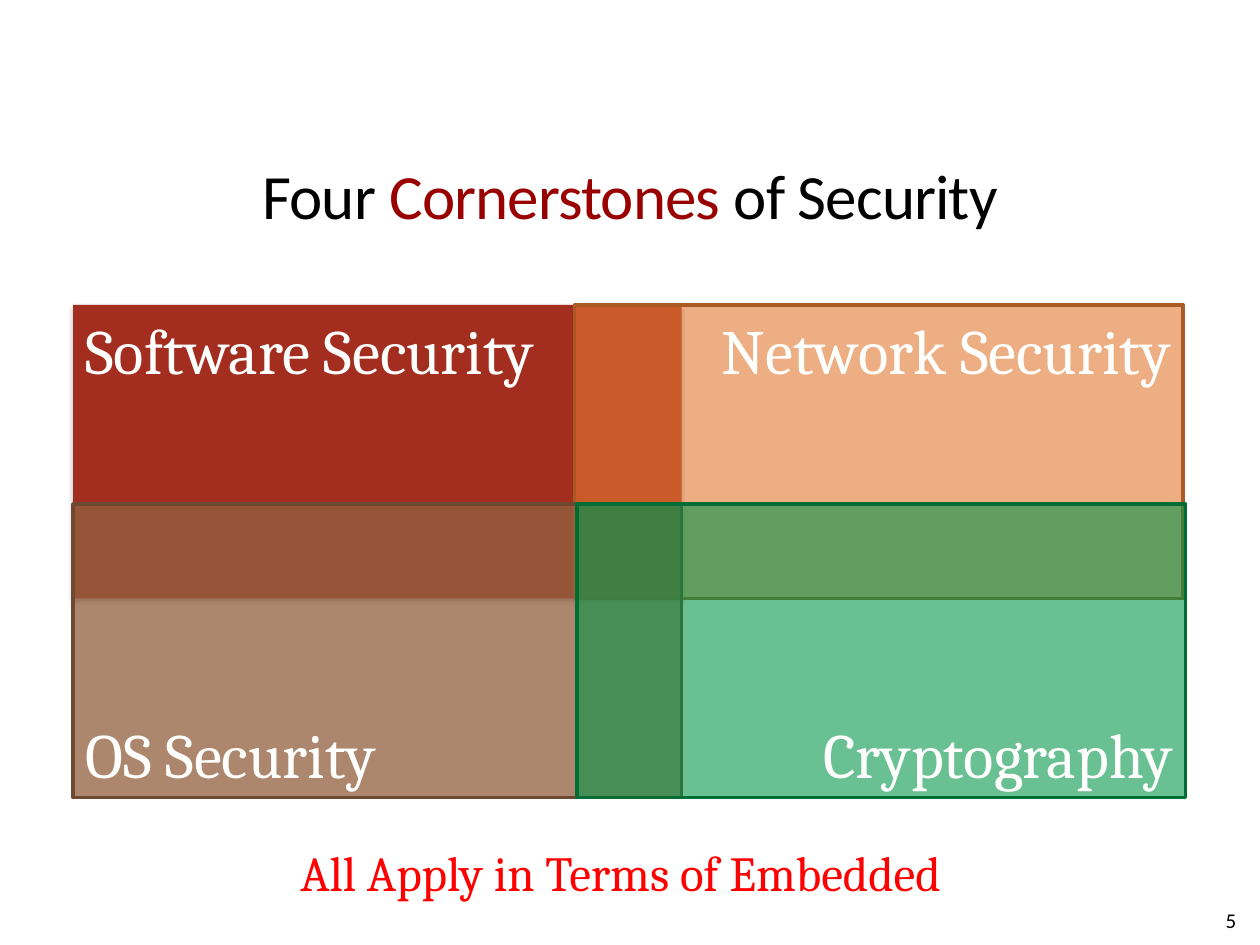
from dataclasses import dataclass
from typing import Any, Optional

from lxml.etree import SubElement
from pptx import Presentation
from pptx.dml.color import RGBColor
from pptx.enum.shapes import MSO_SHAPE
from pptx.enum.text import MSO_ANCHOR, PP_ALIGN
from pptx.oxml.ns import qn
from pptx.util import Inches, Pt


@dataclass(frozen=True)
class Theme:
    black: str = "000000"
    accent: str = "990000"
    light: str = "FFFFFE"
    alert: str = "FF0000"
    head: str = "Calibri"
    body: str = "Cambria"
    big: int = 36
    mid: int = 28
    small: int = 12


@dataclass(frozen=True)
class Stone:
    label: str
    left: float
    top: float
    fill: str
    alpha: int = 100
    line: Optional[str] = None
    align: PP_ALIGN = PP_ALIGN.LEFT
    anchor: MSO_ANCHOR = MSO_ANCHOR.TOP


THEME = Theme()
WIDTH, HEIGHT = 4.83, 2.33
LEFT, TOP, LOW = 0.58, 2.42, 4
STONES = [
    Stone("Software Security", LEFT, TOP, "A32D1F"),
    Stone("Network Security", 4.56, TOP, "E47932", 60, "A95A25", PP_ALIGN.RIGHT),
    Stone("OS Security", LEFT, LOW, "936241", 76, "6D4930",
          anchor=MSO_ANCHOR.BOTTOM),
    Stone("Cryptography", 4.58, LOW, "009446", 59, "006D34", PP_ALIGN.RIGHT,
          MSO_ANCHOR.BOTTOM),
]


def apply(item: Any, values: dict[str, Any]) -> None:
    for name, value in values.items():
        setattr(item, name, value)


def place(shape: Any, left: float, top: float, width: float, height: float) -> None:
    apply(shape, {"left": Inches(left), "top": Inches(top),
                  "width": Inches(width), "height": Inches(height)})


def write(shape: Any, parts: list[tuple[str, str]], font: str, size: int,
          align: PP_ALIGN, anchor: MSO_ANCHOR) -> None:
    frame = shape.text_frame
    apply(frame, {"word_wrap": True, "vertical_anchor": anchor})
    para = frame.paragraphs[0]
    para.alignment = align
    for text, color in parts:
        run = para.add_run()
        run.text = text
        apply(run.font, {"name": font, "size": Pt(size), "bold": False})
        run.font.color.rgb = RGBColor.from_string(color)


def fade(color: Any, alpha: int) -> None:
    SubElement(color, qn("a:alpha"), val=str(alpha * 1000))


def shade(shape: Any) -> None:
    effects = shape._element.spPr.find(qn("a:effectLst"))
    shadow = SubElement(effects, qn("a:outerShdw"), blurRad=str(Pt(3.1)),
                        dist=str(Pt(1.8)), dir="5400000", rotWithShape="0")
    fade(SubElement(shadow, qn("a:srgbClr"), val=THEME.black), 35)


def draw(group: Any, stone: Stone) -> None:
    shape = group.shapes.add_shape(
        MSO_SHAPE.RECTANGLE, Inches(stone.left), Inches(stone.top),
        Inches(WIDTH), Inches(HEIGHT))
    shape.shadow.inherit = False
    shape.fill.solid()
    shape.fill.fore_color.rgb = RGBColor.from_string(stone.fill)
    if stone.line:
        fade(shape._element.spPr.find(qn("a:solidFill"))[0], stone.alpha)
        shape.line.color.rgb = RGBColor.from_string(stone.line)
        shape.line.width = Pt(2)
    else:
        shape.line.fill.background()
        shade(shape)
    write(shape, [(stone.label, THEME.light)], THEME.body, THEME.big,
          stone.align, stone.anchor)


def label(slide: Any, box: tuple[float, float, float, float], text: str,
          color: str, font: str, size: int, align: PP_ALIGN,
          anchor: MSO_ANCHOR) -> None:
    shape = slide.shapes.add_textbox(*(Inches(side) for side in box))
    write(shape, [(text, color)], font, size, align, anchor)


def main() -> None:
    deck = Presentation()
    apply(deck, {"slide_width": Inches(10), "slide_height": Inches(7.5)})
    slide = deck.slides.add_slide(deck.slide_layouts[5])

    title = slide.shapes.title
    place(title, 0.5, 0.92, 9, 1.25)
    apply(title.text_frame, {"margin_left": 0, "margin_right": 0})
    write(title, [("Four ", THEME.black), ("Cornerstones", THEME.accent),
                  (" of Security", THEME.black)],
          THEME.head, THEME.big, PP_ALIGN.CENTER, MSO_ANCHOR.MIDDLE)
    for run in title.text_frame.paragraphs[0].runs:
        run.font._element.set("spc", "-50")

    label(slide, (7.58, 7.1, 2.33, 0.4), "5", THEME.black, THEME.head,
          THEME.small, PP_ALIGN.RIGHT, MSO_ANCHOR.MIDDLE)
    group = slide.shapes.add_group_shape()
    for stone in STONES:
        draw(group, stone)
    label(slide, (1.22, 6.64, 7.41, 0.57), "All Apply in Terms of Embedded",
          THEME.alert, THEME.body, THEME.mid, PP_ALIGN.CENTER, MSO_ANCHOR.TOP)
    deck.save("out.pptx")


if __name__ == "__main__":
    main()
